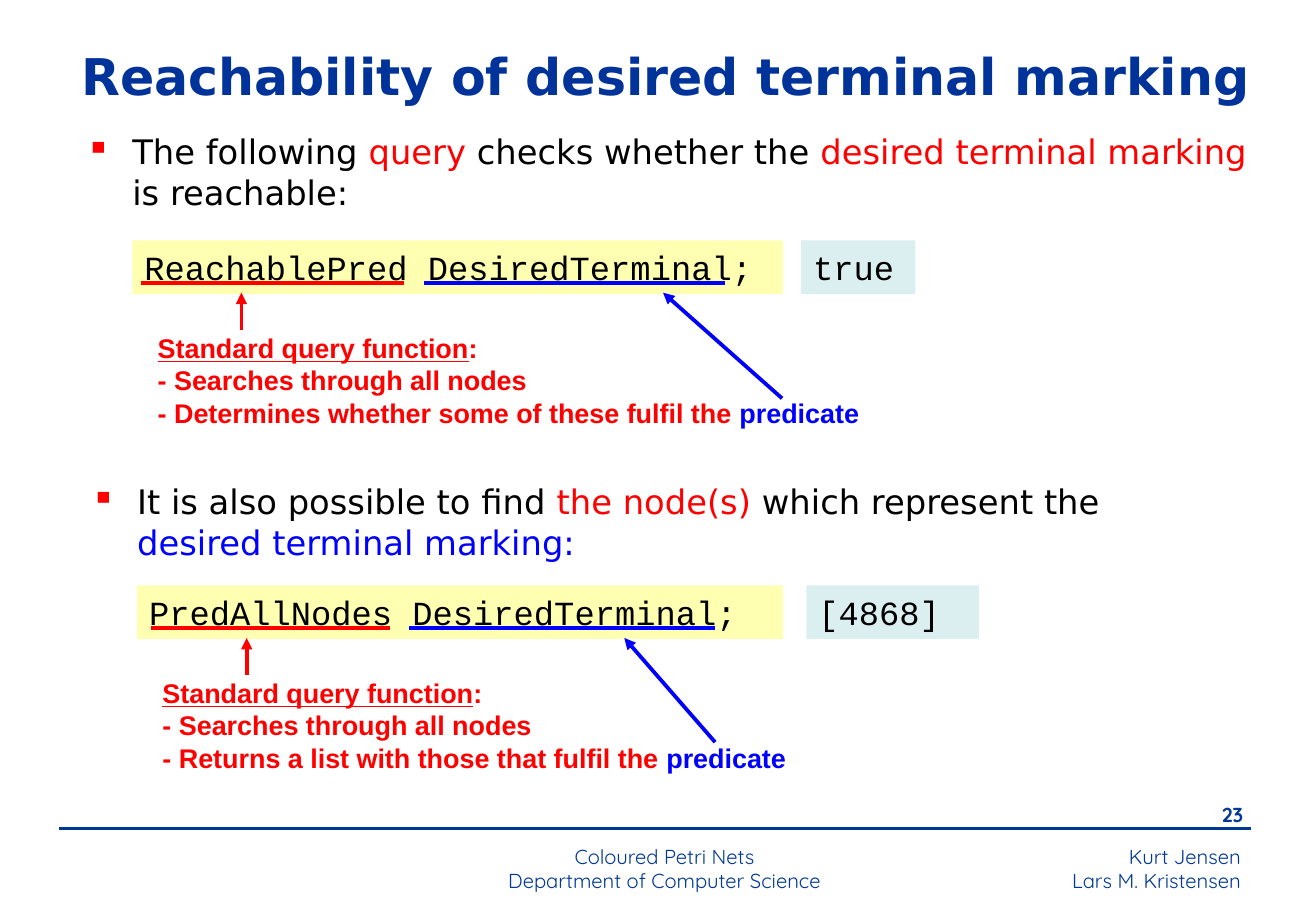
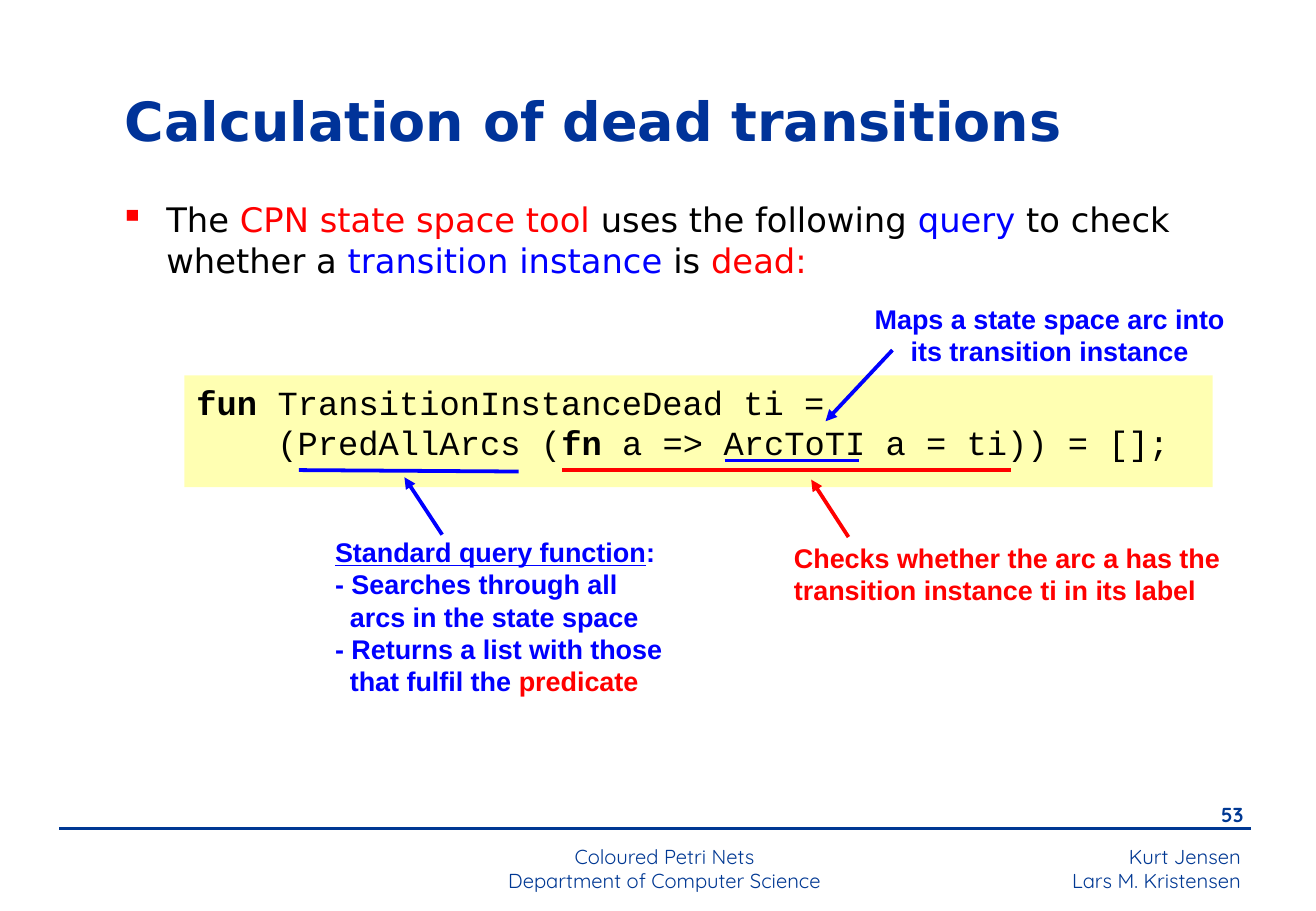
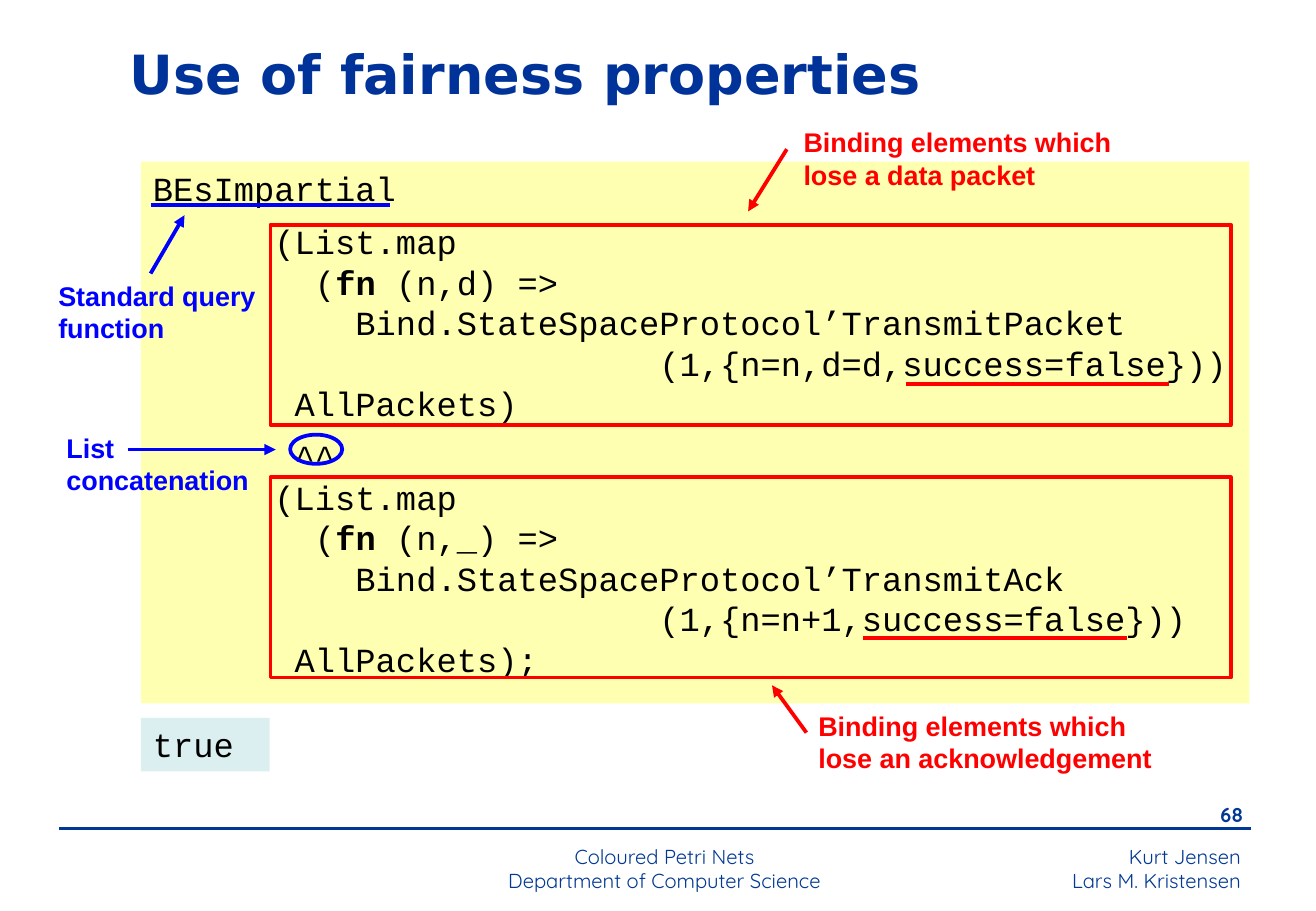
"""Builds three slides on state space queries for Coloured Petri Nets."""
from dataclasses import dataclass

from lxml.etree import SubElement
from pptx import Presentation
from pptx.dml.color import RGBColor
from pptx.enum.shapes import MSO_CONNECTOR, MSO_SHAPE
from pptx.enum.text import MSO_ANCHOR, PP_ALIGN
from pptx.oxml.ns import qn
from pptx.util import Cm, Pt


@dataclass(frozen=True)
class Theme:
    black: str = "000000"
    red: str = "FF0000"
    blue: str = "0000FF"
    title: str = "003399"
    footer: str = "003893"
    code: str = "FFFF66"
    result: str = "BBE0E3"
    body_font: str = "DejaVu Sans"
    code_font: str = "Courier New"
    note_font: str = "Arial"
    footer_font: str = "Quicksand"
    body_size: float = 20
    note_size: float = 16
    footer_size: float = 12
    code_gap: float = 7.5
    mark_width: float = 2.25
    rule_width: float = 1.5
    opacity: int = 50000
    bullet_indent: float = 0.97
    dash_indent: float = 0.31


THEME = Theme()
RED, BLUE = {"color": THEME.red}, {"color": THEME.blue}
BOLD, UNDERLINE = {"bold": True}, {"underline": True}

FOOTERS = [
    ((17.65, 17.53, 8.56, 1.27), ["Kurt Jensen", "Lars M. Kristensen"], PP_ALIGN.RIGHT),
    ((8.66, 17.53, 10.49, 1.19), ["Coloured Petri Nets", "Department of Computer Science"],
     PP_ALIGN.CENTER),
]
NUMBER_BOX = (24.46, 16.66, 1.8, 0.84)
FOOTER_RULE = (1.24, 17.32, 26.16, 17.32)

QUERY_HEADING = [("Standard query function", UNDERLINE), ":"]

SLIDES = [
    {
        "number": 23,
        "title": ("Reachability of desired terminal marking", (1.45, 0.53, 25.5, 2.11), 30),
        "bullets": [
            ((1.55, 2.62, 25.5, 2.11),
             ["The following ", ("query", RED), " checks whether the ",
              ("desired terminal marking", RED), " is reachable:"]),
            ((1.65, 9.93, 24.21, 2.11),
             ["It is also possible to find ", ("the node(s)", RED), " which represent the ",
              ("desired terminal marking:", BLUE)]),
        ],
        "code": [
            ((2.77, 5.03, 13.61, 1.12), ["ReachablePred DesiredTerminal;"]),
            ((2.87, 12.24, 13.51, 1.12), ["PredAllNodes DesiredTerminal;"]),
        ],
        "results": [
            ((16.76, 5.03, 2.39, 1.12), ["true"]),
            ((16.87, 12.24, 3.61, 1.12), ["[4868]"]),
        ],
        "notes": [
            ((3.05, 6.81, 16.1, 2.29), THEME.red,
             [QUERY_HEADING, "- Searches through all nodes",
              ["- Determines whether some of these fulfil the ", ("predicate", BLUE)]]),
            ((3.15, 14.02, 13.69, 2.29), THEME.red,
             [QUERY_HEADING, "- Searches through all nodes",
              ["- Returns a list with those that fulfil the ", ("predicate", BLUE)]]),
        ],
        "underlines": [
            ((2.95, 5.92, 8.46, 5.92), THEME.red),
            ((8.86, 5.92, 15.16, 5.92), THEME.blue),
            ((3.15, 13.13, 8.15, 13.13), THEME.red),
            ((8.56, 13.13, 14.96, 13.13), THEME.blue),
        ],
        "arrows": [
            ((5.05, 6.91, 5.05, 6.12), THEME.red),
            ((16.36, 8.33, 13.87, 6.12), THEME.blue),
            ((5.16, 14.12, 5.16, 13.34), THEME.red),
            ((14.96, 15.52, 13.06, 13.34), THEME.blue),
        ],
    },
    {
        "number": 53,
        "title": ("Calculation of dead transitions", (2.36, 1.63, 21.79, 1.75), 32),
        "bullets": [
            ((2.26, 4.04, 23.32, 2.01),
             ["The ", ("CPN state space tool", RED), " uses the following", (" query", BLUE),
              " to check whether a ", ("transition instance ", BLUE), "is", (" dead:", RED)]),
        ],
        "code": [
            ((3.86, 7.85, 21.51, 2.34),
             [[("fun", BOLD), " TransitionInstanceDead ti ="],
              ["    (PredAllArcs (", ("fn", BOLD), " a => ArcToTI a = ti)) = [];"]]),
        ],
        "notes": [
            ((17.96, 6.2, 8, 1.63), THEME.blue,
             ["Maps a state space arc into its transition instance"], PP_ALIGN.CENTER),
            ((16.36, 11.2, 9.8, 1.63), THEME.red,
             ["Checks whether the arc a has the transition instance ti in its label"]),
            ((6.76, 11.07, 7.59, 3.66), THEME.blue,
             [QUERY_HEADING, "- Searches through all\narcs in the state space",
              ["- Returns a list with those\nthat fulfil the ", ("predicate", RED)]]),
        ],
        "underlines": [
            ((15.16, 9.63, 17.96, 9.63), THEME.blue),
            ((11.76, 9.83, 21.16, 9.83), THEME.red),
            ((6.25, 9.83, 10.85, 9.86), THEME.blue),
        ],
        "arrows": [
            ((18.67, 7.32, 17.27, 8.81), THEME.blue),
            ((17.75, 11.23, 16.97, 10.03), THEME.red),
            ((9.25, 11.18, 8.46, 9.98), THEME.blue),
        ],
    },
    {
        "number": 68,
        "title": ("Use of fairness properties", (2.46, 0.64, 21.01, 1.75), 32),
        "code": [
            ((2.95, 3.38, 23.19, 11.33),
             ["BEsImpartial",
              "      (List.map",
              ["        (", ("fn", BOLD), " (n,d) =>"],
              "          Bind.StateSpaceProtocol’TransmitPacket",
              "                         (1,{n=n,d=d,success=false}))",
              "       AllPackets)",
              "       ^^",
              "      (List.map",
              ["        (", ("fn", BOLD), " (n,_) =>"],
              "          Bind.StateSpaceProtocol’TransmitAck",
              "                         (1,{n=n+1,success=false}))",
              "       AllPackets);"],
             (1, 6)),
        ],
        "results": [((2.95, 15.01, 2.69, 1.12), ["true"])],
        "notes": [
            ((16.56, 2.51, 7.39, 1.63), THEME.red, ["Binding elements which lose a data packet"]),
            ((16.87, 14.71, 8.1, 1.63), THEME.red,
             ["Binding elements which lose an acknowledgement"]),
            ((0.97, 5.72, 5.11, 1.63), THEME.blue, ["Standard query function"]),
            ((1.14, 8.89, 5.11, 1.63), THEME.blue, ["List concatenation"]),
        ],
        "outlines": [
            (MSO_SHAPE.RECTANGLE, (5.66, 4.7, 20.09, 4.19), THEME.red),
            (MSO_SHAPE.RECTANGLE, (5.66, 9.98, 20.09, 4.19), THEME.red),
            (MSO_SHAPE.OVAL, (6.07, 9.09, 1.09, 0.61), THEME.blue),
        ],
        "underlines": [
            ((3.15, 4.29, 8.15, 4.29), THEME.blue),
            ((18.95, 8.03, 24.46, 8.03), THEME.red),
            ((18.06, 13.34, 23.57, 13.34), THEME.red),
        ],
        "arrows": [
            ((16.46, 3.12, 15.65, 4.42), THEME.red),
            ((16.87, 15.32, 16.15, 14.33), THEME.red),
            ((3.15, 5.72, 3.86, 4.5), THEME.blue),
            ((2.67, 9.4, 5.77, 9.4), THEME.blue),
        ],
    },
]


def lengths(values):
    return [Cm(value) for value in values]


def hang(paragraph, indent):
    properties = paragraph._p.get_or_add_pPr()
    properties.set("marL", str(Cm(indent)))
    properties.set("indent", str(-Cm(indent)))
    return properties


def add_bullet(paragraph):
    properties = hang(paragraph, THEME.bullet_indent)
    bullet_color = SubElement(properties, qn("a:buClr"))
    SubElement(bullet_color, qn("a:srgbClr"), val=THEME.red)
    SubElement(properties, qn("a:buChar"), char="▪")


def add_run(paragraph, text, font, size, color, bold=False, underline=False):
    for index, line in enumerate(text.split("\n")):
        if index:
            paragraph.add_line_break()
        run = paragraph.add_run()
        run.text = line
        run.font.name = font
        run.font.size = Pt(size)
        run.font.color.rgb = RGBColor.from_string(color)
        run.font.bold = bold
        run.font.underline = underline


def write_text(holder, paragraphs, align=PP_ALIGN.LEFT, anchor=MSO_ANCHOR.TOP,
               bullet=False, gaps=(), **style):
    frame = holder.text_frame
    frame.word_wrap = True
    frame.vertical_anchor = anchor
    for index, content in enumerate(paragraphs):
        paragraph = frame.add_paragraph() if index else frame.paragraphs[0]
        pieces = [content] if isinstance(content, str) else content
        pieces = [(piece, {}) if isinstance(piece, str) else piece for piece in pieces]
        if bullet:
            add_bullet(paragraph)
        elif pieces[0][0].startswith("- "):
            hang(paragraph, THEME.dash_indent)
        paragraph.alignment = align
        if index in gaps:
            paragraph.space_before = Pt(THEME.code_gap)
        for text, change in pieces:
            add_run(paragraph, text, **{**style, **change})


def add_text(slide, box, paragraphs, **style):
    write_text(slide.shapes.add_textbox(*lengths(box)), paragraphs, **style)


def add_panel(slide, color, box, lines, gaps=()):
    panel = slide.shapes.add_shape(MSO_SHAPE.RECTANGLE, *lengths(box))
    panel.shadow.inherit = False
    panel.fill.solid()
    panel.fill.fore_color.rgb = RGBColor.from_string(color)
    tint = panel._element.spPr.find(".//" + qn("a:srgbClr"))
    SubElement(tint, qn("a:alpha"), val=str(THEME.opacity))
    panel.line.fill.background()
    write_text(panel, lines, gaps=gaps, font=THEME.code_font, size=THEME.body_size,
               color=THEME.black)


def add_outline(slide, kind, box, color):
    outline = slide.shapes.add_shape(kind, *lengths(box))
    outline.shadow.inherit = False
    outline.fill.background()
    outline.line.color.rgb = RGBColor.from_string(color)
    outline.line.width = Pt(THEME.mark_width)


def add_line(slide, ends, color, width=THEME.mark_width, arrow=False):
    line = slide.shapes.add_connector(MSO_CONNECTOR.STRAIGHT, *lengths(ends))
    line.line.color.rgb = RGBColor.from_string(color)
    line.line.width = Pt(width)
    if arrow:
        SubElement(line.line._get_or_add_ln(), qn("a:tailEnd"), type="triangle")
    SubElement(line._element.spPr, qn("a:effectLst"))


def add_frame(slide, number, title, title_box, title_size):
    footer = {"font": THEME.footer_font, "size": THEME.footer_size, "color": THEME.footer}
    for box, lines, align in FOOTERS:
        add_text(slide, box, lines, align=align, **footer)
    add_text(slide, NUMBER_BOX, [str(number)], align=PP_ALIGN.RIGHT, bold=True, **footer)
    add_line(slide, FOOTER_RULE, THEME.footer, width=THEME.rule_width)
    add_text(slide, title_box, [title], anchor=MSO_ANCHOR.MIDDLE, font=THEME.body_font,
             size=title_size, color=THEME.title, bold=True)


def build_slide(slide, content):
    add_frame(slide, content["number"], *content["title"])
    for panel in content["code"]:
        add_panel(slide, THEME.code, *panel)
    for panel in content.get("results", []):
        add_panel(slide, THEME.result, *panel)
    for box, sentence in content.get("bullets", []):
        add_text(slide, box, [sentence], bullet=True, font=THEME.body_font,
                 size=THEME.body_size, color=THEME.black)
    for box, color, lines, *align in content["notes"]:
        add_text(slide, box, lines, align=align[0] if align else PP_ALIGN.LEFT,
                 font=THEME.note_font, size=THEME.note_size, color=color, bold=True)
    for outline in content.get("outlines", []):
        add_outline(slide, *outline)
    for ends, color in content["underlines"]:
        add_line(slide, ends, color)
    for ends, color in content["arrows"]:
        add_line(slide, ends, color, arrow=True)


def main():
    deck = Presentation()
    deck.slide_width, deck.slide_height = Cm(27.53), Cm(19.05)
    for content in SLIDES:
        build_slide(deck.slides.add_slide(deck.slide_layouts[6]), content)
    deck.save("out.pptx")


if __name__ == "__main__":
    main()
